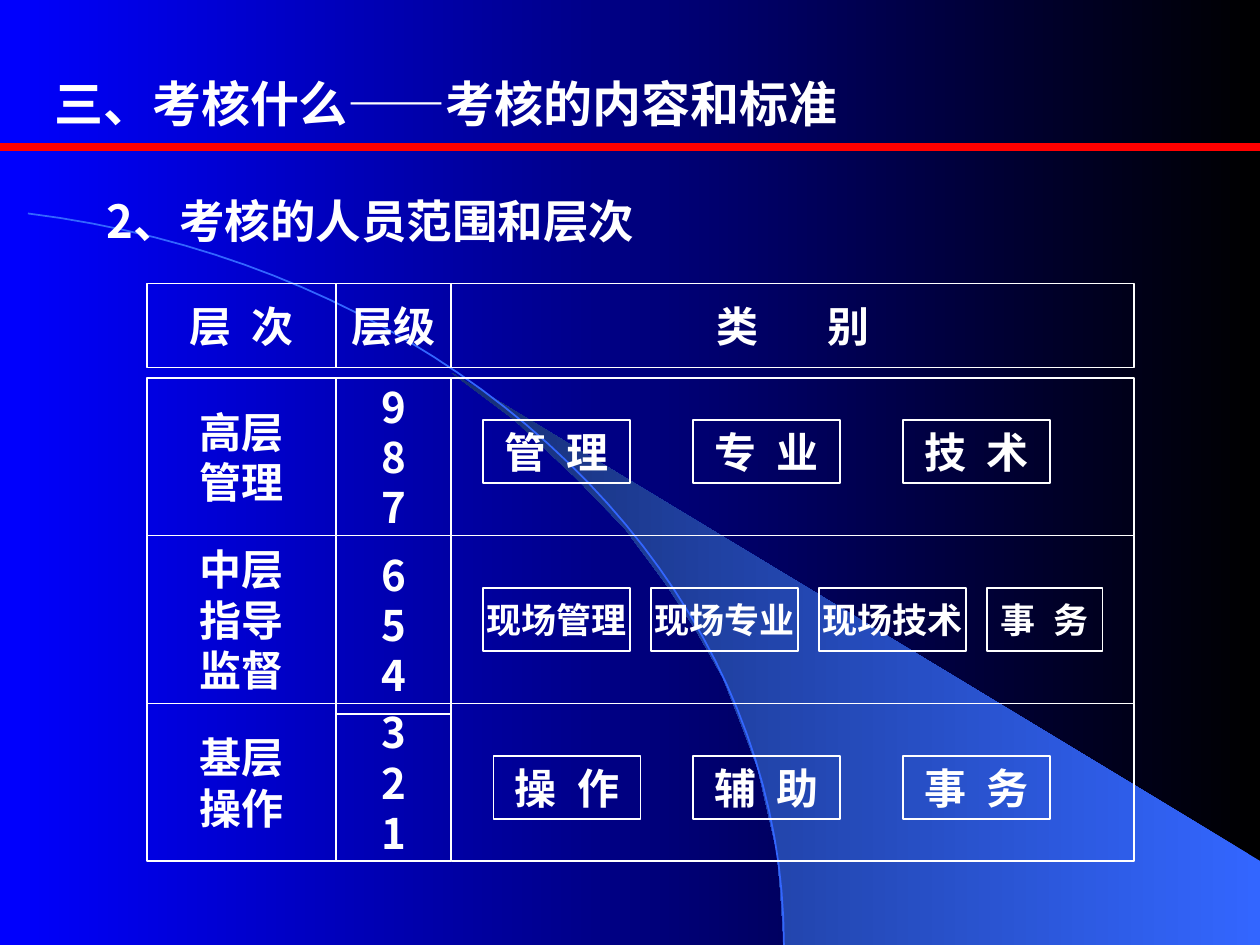
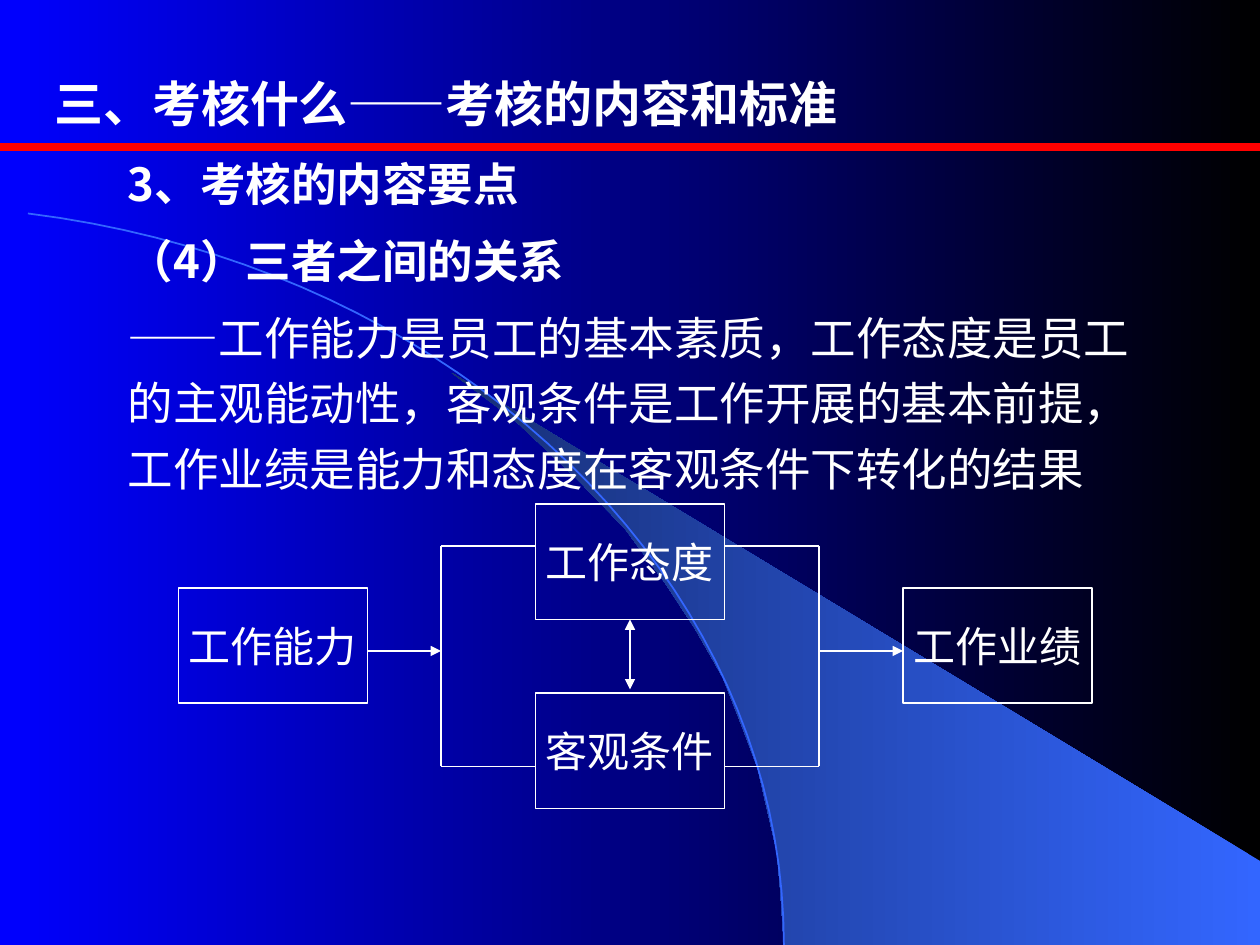
from lxml import etree
from pptx import Presentation
from pptx.dml.color import RGBColor
from pptx.enum.shapes import MSO_CONNECTOR, MSO_SHAPE
from pptx.enum.text import MSO_ANCHOR, PP_ALIGN
from pptx.oxml.ns import qn
from pptx.util import Pt

STRAIGHT = MSO_CONNECTOR.STRAIGHT
RECTANGLE = MSO_SHAPE.RECTANGLE
MIDDLE, TOP = MSO_ANCHOR.MIDDLE, MSO_ANCHOR.TOP
CENTER, LEFT = PP_ALIGN.CENTER, PP_ALIGN.LEFT

WIDTH, HEIGHT = 720, 540
COLORS = {"night": "000000", "blue": "0000FF", "sky": "3366FF",
          "dusk": "172F75", "rule": "FF0000", "white": "FFFFFF"}
SANS, SERIF = "Noto Sans CJK SC", "Times New Roman"
SECTION = "三、考核什么——考核的内容和标准"

# Light beam and the arc along its left edge
BEAM = [(448, 540), (720, 540), (720, 492), (258, 213), (278, 228), (294, 240),
        (312, 257), (330, 274), (357, 302), (380, 333), (397, 359), (413, 387),
        (424, 415), (433, 439), (438, 461), (444, 487), (446, 510)]
ARC_CONTROLS = [(16, 122), (264, 153), (448, 332), (448, 540)]
ARC_STEPS = 40


def bezier(controls, t):
    weights = ((1 - t) ** 3, 3 * t * (1 - t) ** 2, 3 * t * t * (1 - t), t ** 3)
    return tuple(sum(w * point[axis] for w, point in zip(weights, controls))
                 for axis in (0, 1))


class Deck:
    def __init__(self):
        self.prs = Presentation()
        self.prs.slide_width, self.prs.slide_height = Pt(WIDTH), Pt(HEIGHT)
        self.slide = None

    def color(self, name):
        return RGBColor.from_string(COLORS[name])

    def gradient(self, fill, start, end):
        fill.gradient()
        fill.gradient_angle = 180
        for stop, name in zip(fill.gradient_stops, (start, end)):
            stop.color.rgb = self.color(name)

    def outline(self, shape, color="white", width=1):
        shape.line.color.rgb = self.color(color)
        shape.line.width = Pt(width)

    def new_slide(self):
        """Add a slide with the shared background, section title and rule."""
        self.slide = self.prs.slides.add_slide(self.prs.slide_layouts[6])
        self.gradient(self.slide.background.fill, "night", "blue")
        beam = self.freeform(BEAM, closed=True)
        self.gradient(beam.fill, "sky", "dusk")
        beam.line.fill.background()
        arc = self.freeform([bezier(ARC_CONTROLS, step / ARC_STEPS)
                             for step in range(ARC_STEPS + 1)], closed=False)
        arc.fill.background()
        self.outline(arc, "sky")
        self.line(0, 84, WIDTH, 84, color="rule", width=4.5)
        self.text(24, 30, 678, 50, [SECTION], size=28, spacing=1.25, anchor=TOP)

    def freeform(self, points, closed):
        corners = [(Pt(x), Pt(y)) for x, y in points]
        builder = self.slide.shapes.build_freeform(*corners[0])
        builder.add_line_segments(corners[1:], close=closed)
        shape = builder.convert_to_shape()
        shape.shadow.inherit = False
        return shape

    def line(self, x1, y1, x2, y2, color="white", width=1, ends=()):
        connector = self.slide.shapes.add_connector(
            STRAIGHT, Pt(x1), Pt(y1), Pt(x2), Pt(y2))
        self.outline(connector, color, width)
        for end in ends:
            etree.SubElement(connector.line._ln, qn("a:" + end), type="triangle")
        etree.SubElement(connector._element.spPr, qn("a:effectLst"))

    def style(self, paragraph, size, bold, font, align):
        paragraph.alignment = align
        paragraph.font.size = Pt(size)
        paragraph.font.bold = bold
        paragraph.font.color.rgb = self.color("white")
        paragraph.font.name = font
        defaults = paragraph._p.pPr.find(qn("a:defRPr"))
        etree.SubElement(defaults, qn("a:ea"), typeface=SANS)

    def text(self, x, y, w, h, lines, size=26, spacing=1.0, anchor=MIDDLE, plain=()):
        """Add left-aligned text; lines whose index is in plain are not bold."""
        frame = self.slide.shapes.add_textbox(Pt(x), Pt(y), Pt(w), Pt(h)).text_frame
        frame.word_wrap = True
        frame.vertical_anchor = anchor
        for i, line in enumerate(lines):
            paragraph = frame.add_paragraph() if i else frame.paragraphs[0]
            paragraph.text = line
            paragraph.line_spacing = spacing
            if i:
                paragraph.space_before = Pt(6.5)
            self.style(paragraph, size, i not in plain, SANS, LEFT)

    def box(self, x, y, w, h, lines=(), size=24, bold=True, font=SANS, tracking=3):
        """Add an outlined box; tracking widens the gap in spaced-out labels."""
        shape = self.slide.shapes.add_shape(RECTANGLE, Pt(x), Pt(y), Pt(w), Pt(h))
        shape.shadow.inherit = False
        shape.fill.background()
        self.outline(shape)
        frame = shape.text_frame
        frame.word_wrap = False
        frame.vertical_anchor = MIDDLE
        for i, line in enumerate(lines):
            paragraph = frame.add_paragraph() if i else frame.paragraphs[0]
            first, space, last = line.partition(" ")
            lead = paragraph.add_run()
            lead.text = first + space
            if space:
                lead.font._element.set("spc", str(tracking * 100)) if hasattr(
                    lead.font, "_element") else lead._r.get_or_add_rPr().set(
                    "spc", str(tracking * 100))
                paragraph.add_run().text = last
            self.style(paragraph, size, bold, font, CENTER)


def levels_slide(deck):
    deck.new_slide()
    deck.text(54, 102, 606, 48, ["2、考核的人员范围和层次"])

    # Header row
    columns = [(84, 108), (192, 66), (258, 390)]
    headings = [("层 次", 3), ("层级", 3), ("类 别", 17)]
    for (x, w), (heading, tracking) in zip(columns, headings):
        deck.box(x, 162, w, 48, [heading], tracking=tracking)

    # Rows: top, height, height of the grade cell, tier, grades
    rows = [(216, 90, 90, ["高层", "管理"], "987"),
            (306, 96, 102, ["中层", "指导", "监督"], "654"),
            (402, 90, 90, ["基层", "操作"], "321")]
    (tier_x, tier_w), (grade_x, grade_w), (kind_x, kind_w) = columns
    for y, h, grade_h, tier, grades in rows:
        deck.box(kind_x, y, kind_w, h)
        deck.box(tier_x, y, tier_w, h, tier)
        deck.box(grade_x, y, grade_w, grade_h, grades)

    # Job categories: top, text size, (label, left, width)
    categories = [
        (240, 24, [("管 理", 276, 84), ("专 业", 396, 84), ("技 术", 516, 84)]),
        (336, 20, [("现场管理", 276, 84), ("现场专业", 372, 84),
                   ("现场技术", 468, 84), ("事 务", 564, 66)]),
        (432, 24, [("操 作", 282, 84), ("辅 助", 396, 84), ("事 务", 516, 84)])]
    for y, size, jobs in categories:
        for label, x, w in jobs:
            deck.box(x, y, w, 36, [label], size=size)


def relations_slide(deck):
    deck.new_slide()
    deck.text(66, 96, 606, 174, [
        "3、考核的内容要点",
        "（4）三者之间的关系",
        "——工作能力是员工的基本素质，工作态度是员工的主观能动性，"
        "客观条件是工作开展的基本前提，工作业绩是能力和态度在客观条件下转化的结果",
    ], spacing=1.2, plain=(2,))

    # Factors
    for factor, x, y in [("工作能力", 102, 336), ("工作态度", 306, 288),
                         ("客观条件", 306, 396), ("工作业绩", 516, 336)]:
        deck.box(x, y, 108, 66, [factor], bold=False, font=SERIF)

    # Brackets on both sides of the middle factors
    for spine, edge in [(252, 306), (468, 414)]:
        deck.line(spine, 312, spine, 438)
        for y in (312, 438):
            deck.line(spine, y, edge, y)

    # Arrows
    deck.line(210, 372, 252, 372, ends=["tailEnd"])
    deck.line(468, 372, 516, 372, ends=["tailEnd"])
    deck.line(360, 354, 360, 394, ends=["headEnd", "tailEnd"])


def main():
    deck = Deck()
    levels_slide(deck)
    relations_slide(deck)
    deck.prs.save("out.pptx")


if __name__ == "__main__":
    main()
